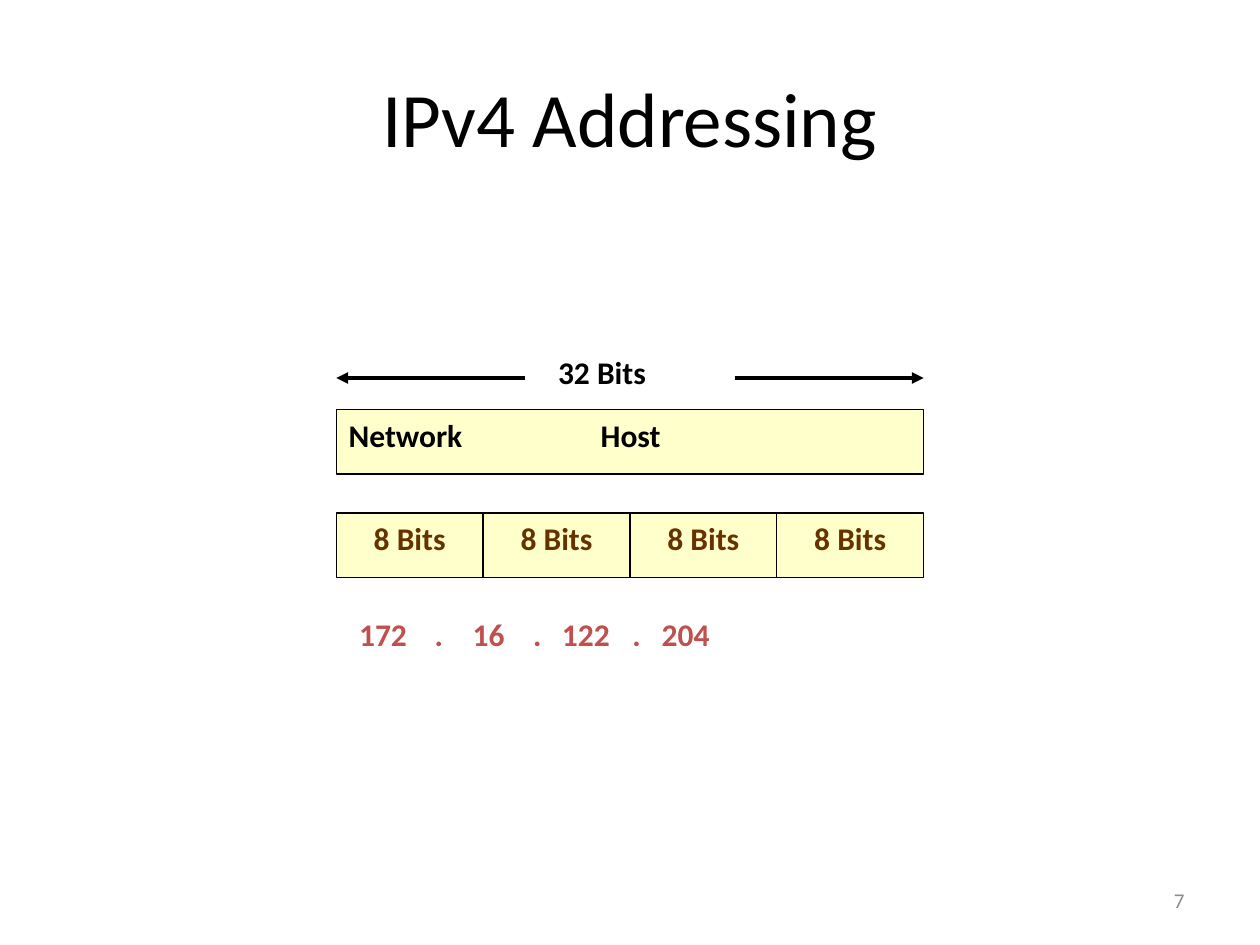
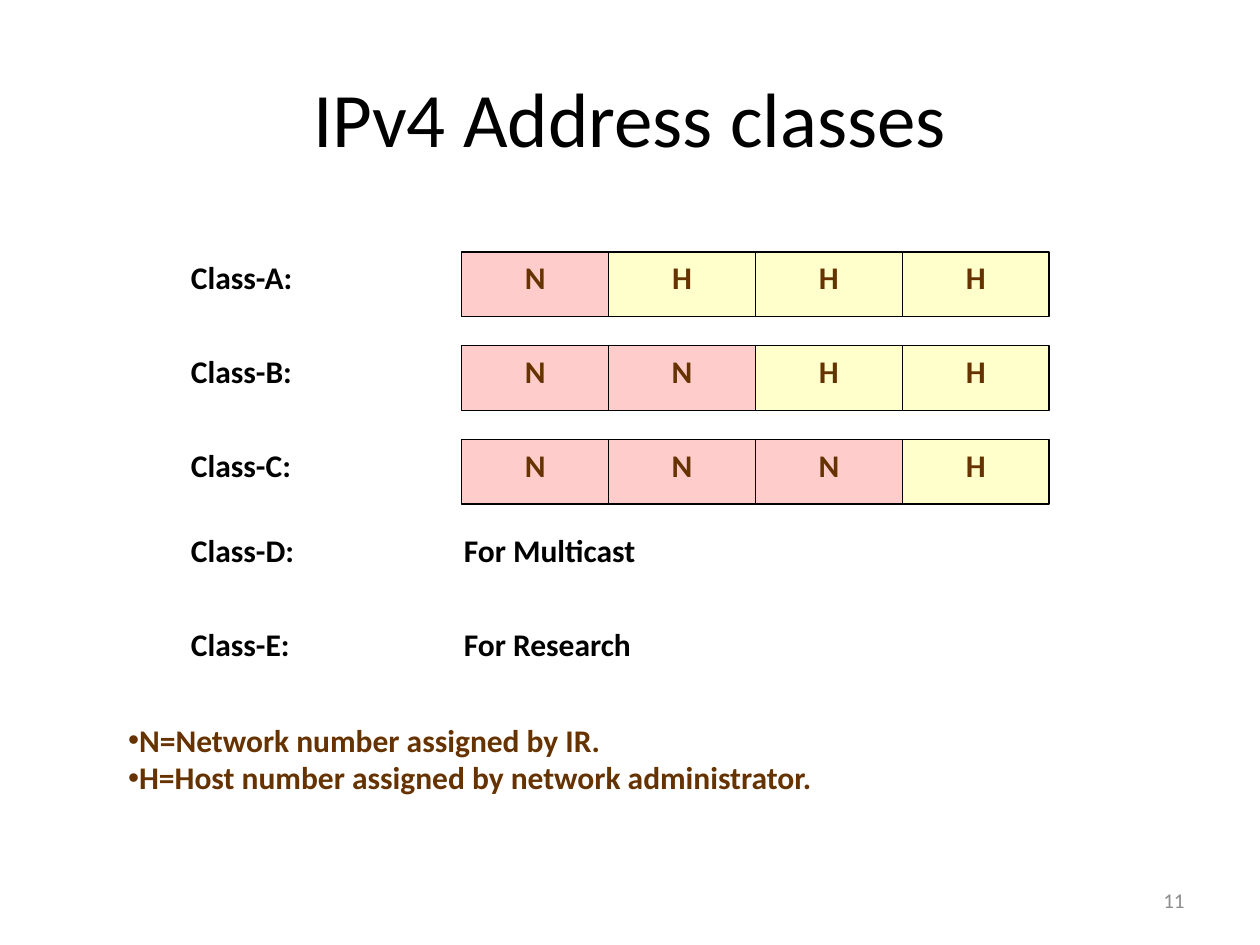
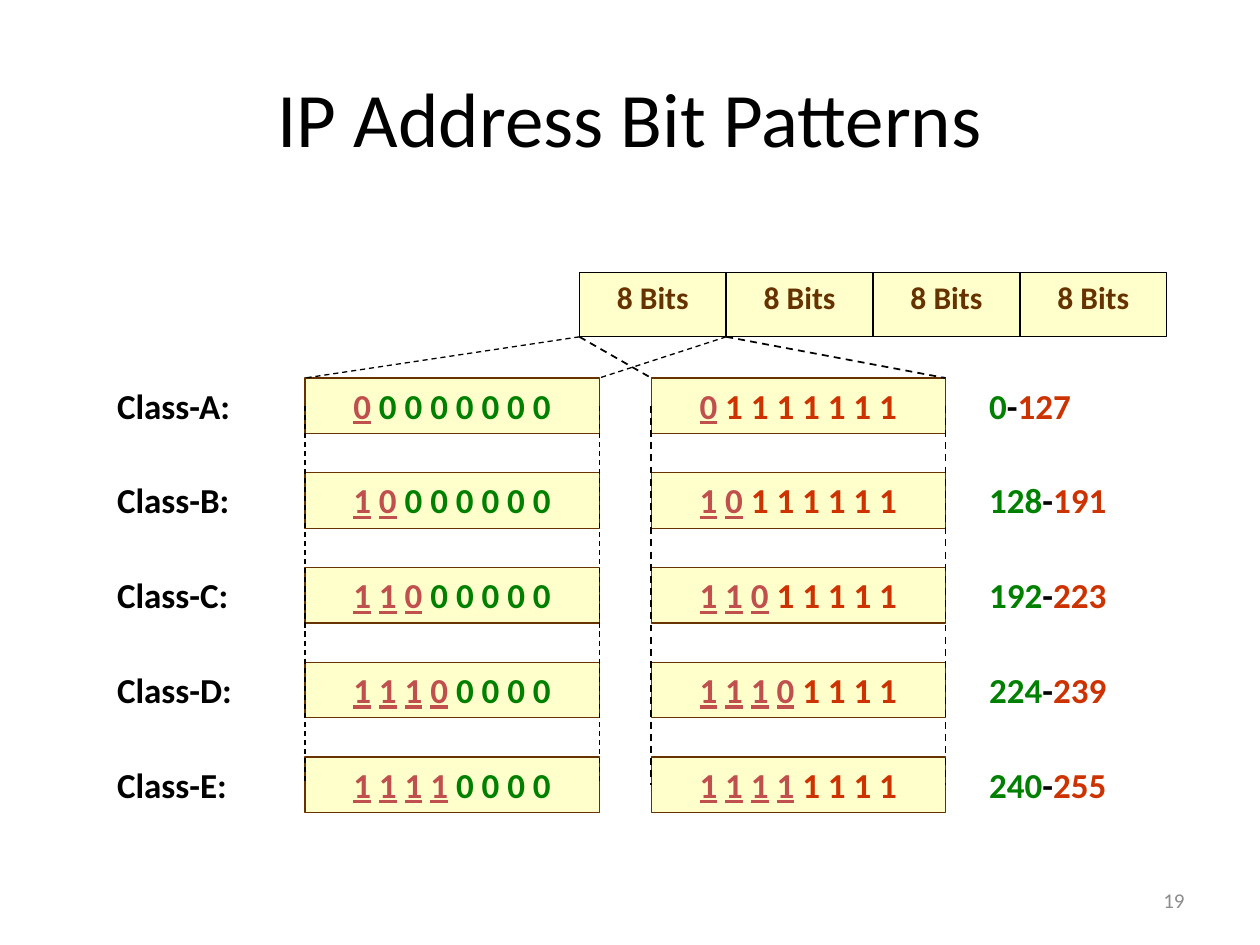
from dataclasses import dataclass
from typing import Optional, Sequence

from lxml.etree import SubElement
from pptx import Presentation
from pptx.dml.color import RGBColor
from pptx.enum.dml import MSO_LINE
from pptx.enum.shapes import MSO_CONNECTOR, MSO_SHAPE
from pptx.enum.text import MSO_ANCHOR, MSO_AUTO_SIZE, PP_ALIGN
from pptx.oxml.ns import qn
from pptx.util import Cm, Pt


# Shared look
@dataclass(frozen=True)
class Theme:
    font: str = "Calibri"
    ink: str = "000000"
    brown: str = "663300"
    red: str = "C0504D"
    green: str = "008000"
    orange: str = "CC3300"
    grey: str = "8C8C8C"
    cream: str = "FFFFCC"
    pink: str = "FFCCCC"
    title_size: int = 44
    pattern_size: int = 20
    text_size: int = 18
    number_size: int = 12
    thin: float = 0.75


THEME = Theme()
OCTET_WIDTH, OCTET_HEIGHT = 2.96, 1.3
TITLE_AND_CONTENT, TITLE_ONLY = 1, 5


@dataclass(frozen=True)
class Box:
    """Position and size in centimetres."""
    left: float
    top: float
    width: float
    height: float

    @property
    def right(self) -> float:
        return self.left + self.width

    @property
    def bottom(self) -> float:
        return self.top + self.height

    def lengths(self) -> tuple:
        return Cm(self.left), Cm(self.top), Cm(self.width), Cm(self.height)


@dataclass(frozen=True)
class Run:
    text: str
    color: str = THEME.ink
    size: int = THEME.text_size
    bold: bool = True
    underline: bool = False


@dataclass(frozen=True)
class Octet:
    text: str
    fill: str = THEME.cream


@dataclass(frozen=True)
class AddressClass:
    name: str
    prefix: str

    def limit(self, filler: str) -> int:
        return int(self.prefix.ljust(8, filler), 2)


@dataclass(frozen=True)
class PatternPanel:
    left: float
    filler: str
    color: str
    line_width: float


# Text
def add_runs(paragraph, runs: Sequence[Run], alignment=PP_ALIGN.LEFT) -> None:
    paragraph.alignment = alignment
    for item in runs:
        run = paragraph.add_run()
        run.text = item.text
        font = run.font
        font.name, font.size = THEME.font, Pt(item.size)
        font.bold, font.underline = item.bold, item.underline
        font.color.rgb = RGBColor.from_string(item.color)


def add_tab_stops(paragraph, stops: Sequence[float]) -> None:
    tab_list = SubElement(paragraph._p.get_or_add_pPr(), qn("a:tabLst"))
    for stop in stops:
        SubElement(tab_list, qn("a:tab"), pos=str(Cm(stop)), algn="l")


def add_text(slide, box: Box, runs: Sequence[Run], alignment=PP_ALIGN.LEFT,
             anchor=MSO_ANCHOR.TOP, tab_stops: Sequence[float] = ()) -> None:
    frame = slide.shapes.add_textbox(*box.lengths()).text_frame
    frame.word_wrap = True
    frame.vertical_anchor = anchor
    if tab_stops:
        add_tab_stops(frame.paragraphs[0], tab_stops)
    add_runs(frame.paragraphs[0], runs, alignment)


# Shapes and lines
def add_cell(slide, box: Box, runs: Sequence[Run], fill: str = THEME.cream,
             outline: str = THEME.ink, alignment=PP_ALIGN.CENTER,
             tab_stops: Sequence[float] = ()):
    shape = slide.shapes.add_shape(MSO_SHAPE.RECTANGLE, *box.lengths())
    shape.shadow.inherit = False
    shape.fill.solid()
    shape.fill.fore_color.rgb = RGBColor.from_string(fill)
    shape.line.color.rgb = RGBColor.from_string(outline)
    shape.line.width = Pt(THEME.thin)
    frame = shape.text_frame
    frame.word_wrap = True
    frame.vertical_anchor = MSO_ANCHOR.TOP
    if tab_stops:
        add_tab_stops(frame.paragraphs[0], tab_stops)
    add_runs(frame.paragraphs[0], runs, alignment)
    return shape


def add_octets(slide, left: float, top: float, octets: Sequence[Octet]) -> None:
    for index, octet in enumerate(octets):
        box = Box(left + index * OCTET_WIDTH, top, OCTET_WIDTH, OCTET_HEIGHT)
        add_cell(slide, box, [Run(octet.text, THEME.brown)], octet.fill)


def add_line(slide, start: tuple, end: tuple, width: float,
             dash: Optional[MSO_LINE] = None, arrow: bool = False):
    connector = slide.shapes.add_connector(
        MSO_CONNECTOR.STRAIGHT, *(Cm(value) for value in (*start, *end)))
    connector.line.color.rgb = RGBColor.from_string(THEME.ink)
    connector.line.width = Pt(width)
    if dash is not None:
        connector.line.dash_style = dash
    if arrow:
        SubElement(connector.line._get_or_add_ln(), qn("a:tailEnd"), type="triangle")
    SubElement(connector._element.spPr, qn("a:effectLst"))
    return connector


def add_slide(presentation, layout: int, title: str, number: int):
    slide = presentation.slides.add_slide(presentation.slide_layouts[layout])
    add_runs(slide.shapes.title.text_frame.paragraphs[0],
             [Run(title, size=THEME.title_size, bold=False)], PP_ALIGN.CENTER)
    add_text(slide, Box(18.2, 17.65, 5.93, 1.01),
             [Run(str(number), THEME.grey, THEME.number_size, bold=False)],
             PP_ALIGN.RIGHT, MSO_ANCHOR.MIDDLE)
    return slide


# Slides
def build_addressing(presentation) -> None:
    slide = add_slide(presentation, TITLE_ONLY, "IPv4 Addressing", 7)
    address = Box(6.78, 8.26, 4 * OCTET_WIDTH, OCTET_HEIGHT)
    add_octets(slide, address.left, 10.34, [Octet("8 Bits")] * 4)
    add_cell(slide, address, [Run("Network\tHost")],
             alignment=PP_ALIGN.LEFT, tab_stops=[5.08])

    # Width of the whole address
    add_text(slide, Box(11, 6.99, 3.6, 1.27), [Run("32 Bits")])
    arrow_top, arrow_length = 7.62, 3.81
    for edge, inner in ((address.left, address.left + arrow_length),
                        (address.right, address.right - arrow_length)):
        add_line(slide, (inner, arrow_top), (edge, arrow_top), 2.25, arrow=True)

    add_text(slide, Box(6.99, 12.27, 11.86, 1.27),
             [Run("172\t.\t16\t.\t122\t.\t204", THEME.red)],
             tab_stops=[1.52, 2.29, 3.51, 4.09, 5.51, 6.1])


def build_classes(presentation) -> None:
    slide = add_slide(presentation, TITLE_AND_CONTENT, "IPv4 Address classes", 11)
    label_left, row_pitch = 3.6, 1.89
    network, host = Octet("N", THEME.pink), Octet("H")

    # Classes split into network and host octets
    for index, name in enumerate("ABC"):
        top = 5.08 + index * row_pitch
        network_count = index + 1
        add_octets(slide, 9.31, top,
                   [network] * network_count + [host] * (4 - network_count))
        add_text(slide, Box(label_left, top, 4.65, 1.27), [Run(f"Class-{name}:")])

    # Classes with a special purpose
    for index, (name, purpose) in enumerate((("D", "Multicast"), ("E", "Research"))):
        top = 10.59 + index * row_pitch
        add_text(slide, Box(label_left, top, 4.65, 1.27), [Run(f"Class-{name}:")])
        add_text(slide, Box(9.1, top, 7.62, 1.27), [Run(f"For {purpose}")])

    # Legend
    legend = slide.placeholders[1]
    legend.left, legend.top, legend.width, legend.height = Box(2.33, 14.4, 22.02, 2.29).lengths()
    frame = legend.text_frame
    frame.auto_size = MSO_AUTO_SIZE.NONE
    for index, line in enumerate(("N=Network number assigned by IR.",
                                  "H=Host number assigned by network administrator.")):
        paragraph = frame.add_paragraph() if index else frame.paragraphs[0]
        properties = paragraph._p.get_or_add_pPr()
        properties.set("marL", "0")
        properties.set("indent", "0")
        SubElement(properties, qn("a:buChar"), char="•")
        paragraph.space_before = Pt(0)
        add_runs(paragraph, [Run(line, THEME.brown)])


def pattern_runs(prefix: str, panel: PatternPanel) -> list[Run]:
    size = THEME.pattern_size
    runs = []
    for digit in prefix:
        runs += [Run(digit, THEME.red, size, underline=True), Run(" ", THEME.red, size)]
    rest = " ".join(panel.filler * (8 - len(prefix)))
    return runs + [Run(rest, panel.color, size)]


def build_bit_patterns(presentation) -> None:
    slide = add_slide(presentation, TITLE_ONLY, "IP Address Bit Patterns", 19)
    size = THEME.pattern_size
    classes = [AddressClass("A", "0"), AddressClass("B", "10"), AddressClass("C", "110"),
               AddressClass("D", "1110"), AddressClass("E", "1111")]
    panels = [PatternPanel(6.15, "0", THEME.green, THEME.thin),
              PatternPanel(13.13, "1", THEME.orange, 1)]
    tops = [7.62 + index * 1.91 for index in range(len(classes))]
    first_octet = Box(11.68, 5.49, OCTET_WIDTH, OCTET_HEIGHT)
    add_octets(slide, first_octet.left, first_octet.top, [Octet("8 Bits")] * 4)

    # Class names and value ranges
    for address_class, top in zip(classes, tops):
        add_text(slide, Box(2.11, top, 3.6, 1.1), [Run(f"Class-{address_class.name}:", size=size)])
        add_text(slide, Box(19.69, top, 3.39, 1.1),
                 [Run(str(address_class.limit("0")), THEME.green, size),
                  Run("-", size=size),
                  Run(str(address_class.limit("1")), THEME.orange, size)])

    # Lowest and highest patterns, opened out from the first octet
    for panel in panels:
        boxes = [Box(panel.left, top, 5.93, 1.12) for top in tops]
        cells = [add_cell(slide, box, pattern_runs(address_class.prefix, panel),
                          outline=THEME.brown)
                 for address_class, box in zip(classes, boxes)]
        for octet_edge, panel_edge, side in ((first_octet.left, boxes[0].left, 1),
                                             (first_octet.right, boxes[0].right, 3)):
            corner = (panel_edge, boxes[0].top)
            add_line(slide, (octet_edge, first_octet.bottom), corner,
                     panel.line_width, MSO_LINE.DASH)
            guide = add_line(slide, corner, (panel_edge, boxes[-1].top),
                             panel.line_width, MSO_LINE.DASH)
            guide.begin_connect(cells[0], side)
            guide.end_connect(cells[-1], side)


def main() -> None:
    presentation = Presentation()
    presentation.slide_width, presentation.slide_height = Cm(25.4), Cm(19.05)
    build_addressing(presentation)
    build_classes(presentation)
    build_bit_patterns(presentation)
    presentation.save("out.pptx")


if __name__ == "__main__":
    main()
